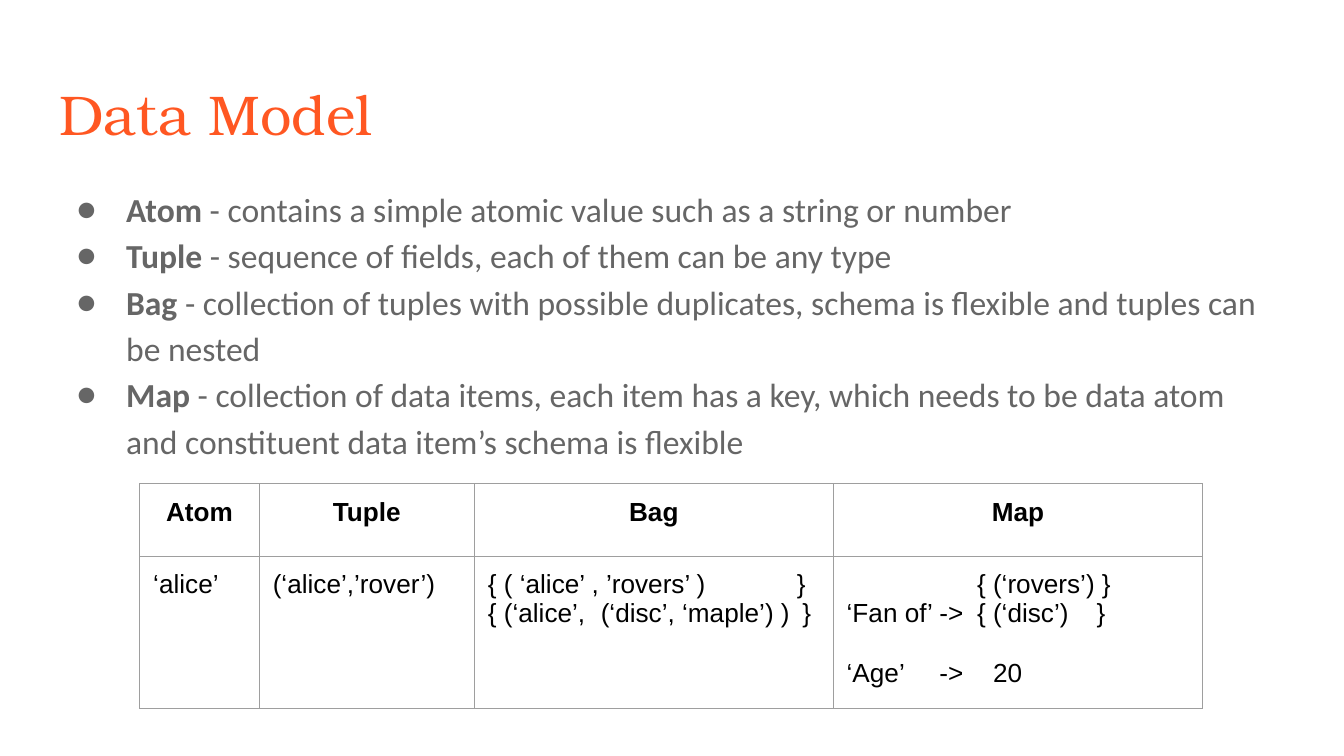
from lxml import etree
from pptx import Presentation
from pptx.dml.color import RGBColor
from pptx.enum import text as tx
from pptx.oxml import ns
from pptx.util import Inches, Pt

ORANGE = RGBColor(0xFF, 0x57, 0x22)
GREY = RGBColor(0x66, 0x66, 0x66)
BLACK = RGBColor(0, 0, 0)
RULE = RGBColor(0x9E, 0x9E, 0x9E)
PAD = Inches(0.1)

TERMS = [
    ("Atom", "contains a simple atomic value such as a string or number"),
    ("Tuple", "sequence of fields, each of them can be any type"),
    ("Bag", "collection of tuples with possible duplicates, schema is "
            "flexible and tuples can be nested"),
    ("Map", "collection of data items, each item has a key, which needs to be "
            "data atom and constituent data item’s schema is flexible"),
]
WIDTHS = [0.89, 1.6, 2.67, 2.75]
HEIGHTS = [0.54, 1.13]
# Each line: text, tab stops in inches, space before in points
SAMPLES = [
    [("‘alice’", [], 0)],
    [("(‘alice’,’rover’)", [], 0)],
    [("{ ( ‘alice’ , ’rovers’ )\t}", [2.3], 0),
     ("{ (‘alice’,\t(‘disc’, ‘maple’) )\t}", [0.84, 2.34], 0)],
    [("\t{ (‘rovers’) }", [0.97], 0),
     ("‘Fan of’\t->\t{ (‘disc’)\t}", [0.69, 0.97, 1.86], 0),
     ("‘Age’\t->\t20", [0.69, 1.09], 16)],
]


def add(parent, tag, **attrs):
    """Append a drawing element such as a:buChar."""
    node = etree.SubElement(parent, ns.qn(tag))
    for key, value in attrs.items():
        node.set(key, str(value))
    return node


def write(para, words, font="Arial", size=14, color=BLACK, bold=False):
    run = para.add_run()
    run.text = words
    run.font.name = font
    run.font.size = Pt(size)
    run.font.bold = bold
    run.font.color.rgb = color


def pad(frame):
    frame.margin_left = frame.margin_right = PAD
    frame.margin_top = frame.margin_bottom = PAD


def lines(frame, count):
    """Return the given number of paragraphs."""
    return [frame.paragraphs[0]] + [frame.add_paragraph()
                                    for _ in range(count - 1)]


def setup(frame):
    pad(frame)
    frame.word_wrap = True
    frame.auto_size = tx.MSO_AUTO_SIZE.NONE
    frame.vertical_anchor = tx.MSO_ANCHOR.TOP


def head(slide, left, top, width, height):
    title = slide.shapes.title
    title.left, title.top = Inches(left), Inches(top)
    title.width, title.height = Inches(width), Inches(height)
    setup(title.text_frame)
    para = title.text_frame.paragraphs[0]
    para.alignment = tx.PP_ALIGN.LEFT
    write(para, "Data Model", font="TeX Gyre Bonum", size=30, color=ORANGE)


def bullet(para):
    para.line_spacing = 1.15
    props = para._p.get_or_add_pPr()
    props.set("marL", str(Inches(0.5)))
    props.set("indent", str(Inches(-0.37)))
    add(add(props, "a:buClr"), "a:srgbClr", val=GREY)
    add(props, "a:buFont", typeface="Calibri")
    add(props, "a:buChar", char="●")


def body(slide, left, top, width, height):
    box = slide.shapes.add_textbox(Inches(left), Inches(top),
                                   Inches(width), Inches(height))
    setup(box.text_frame)
    look = {"font": "Calibri", "size": 18, "color": GREY}
    for para, (term, gloss) in zip(lines(box.text_frame, len(TERMS)), TERMS):
        bullet(para)
        write(para, term, bold=True, **look)
        write(para, " - " + gloss, **look)


def tabs(para, stops):
    if stops:
        group = add(para._p.get_or_add_pPr(), "a:tabLst")
        for stop in stops:
            add(group, "a:tab", pos=Inches(stop), algn="l")


def style(cell):
    pad(cell)
    props = cell._tc.get_or_add_tcPr()
    for side in ("L", "R", "T", "B"):
        edge = add(props, "a:ln" + side, w=Pt(0.75))
        add(add(edge, "a:solidFill"), "a:srgbClr", val=RULE)
    cell.fill.background()


def table(slide, left, top):
    grid = slide.shapes.add_table(
        len(HEIGHTS), len(WIDTHS), Inches(left), Inches(top),
        Inches(sum(WIDTHS)), Inches(sum(HEIGHTS))).table
    grid.first_row = grid.horz_banding = False
    for row, height in zip(grid.rows, HEIGHTS):
        row.height = Inches(height)
    for col, width in enumerate(WIDTHS):
        grid.columns[col].width = Inches(width)
        label, cell = grid.cell(0, col), grid.cell(1, col)
        style(label)
        style(cell)
        para = label.text_frame.paragraphs[0]
        para.alignment = tx.PP_ALIGN.CENTER
        write(para, TERMS[col][0], bold=True)
        sample = SAMPLES[col]
        for para, (words, stops, gap) in zip(
                lines(cell.text_frame, len(sample)), sample):
            para.space_before = Pt(gap)
            tabs(para, stops)
            write(para, words)


def main():
    deck = Presentation()
    deck.slide_width = Inches(10)
    deck.slide_height = deck.slide_width * 9 // 16
    slide = deck.slides.add_slide(deck.slide_layouts[5])
    head(slide, 0.34, 0.49, 9.32, 0.63)
    body(slide, 0.34, 1.26, 9.29, 4.01)
    table(slide, 1.04, 3.6)
    deck.save("out.pptx")


if __name__ == "__main__":
    main()
